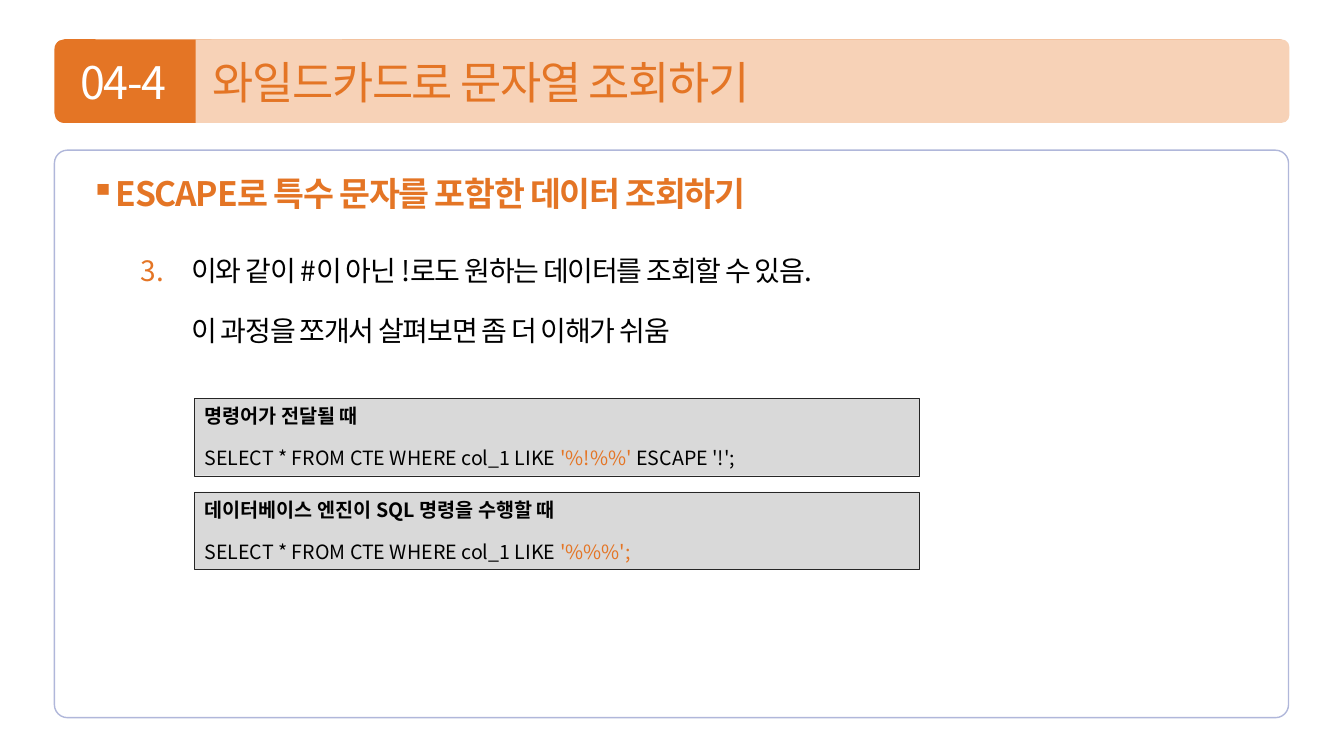
"""Builds the slide on ESCAPE and wildcard searches in SQL."""
from pptx import Presentation
from pptx.dml.color import RGBColor
from pptx.enum.shapes import MSO_SHAPE as Shape
from pptx.enum.text import MSO_ANCHOR as Anchor, PP_ALIGN as Align
from pptx.oxml.ns import qn
from pptx.util import Inches, Pt

ORANGE = RGBColor(0xE4, 0x75, 0x25)
PEACH = RGBColor(0xF7, 0xD2, 0xB7)
LAVENDER = RGBColor(0xB0, 0xB7, 0xDA)
GREY = RGBColor(0xD9, 0xD9, 0xD9)
CHARCOAL = RGBColor(0x26, 0x26, 0x26)
BLACK = RGBColor(0, 0, 0)
WHITE = RGBColor(0xFF, 0xFF, 0xFF)


class LessonSlide:
    """Holds the font and the slide, and adds its elements."""

    font = "Noto Sans CJK KR"

    def __init__(self, slide):
        self.slide = slide

    def panel(self, left, top, width, height, fill=None, line=None, weight=1, corner=None):
        kind = Shape.RECTANGLE if corner is None else Shape.ROUNDED_RECTANGLE
        panel = self.slide.shapes.add_shape(
            kind, Inches(left), Inches(top), Inches(width), Inches(height))
        panel.shadow.inherit = False
        if corner is not None:
            panel.adjustments[0] = corner
        if fill is None:
            panel.fill.background()
        else:
            panel.fill.solid()
            panel.fill.fore_color.rgb = fill
        if line is None:
            panel.line.fill.background()
        else:
            panel.line.color.rgb = line
            panel.line.width = Pt(weight)
        return panel

    def text_frame(self, left, top, width, height, anchor):
        frame = self.slide.shapes.add_textbox(
            Inches(left), Inches(top), Inches(width), Inches(height)).text_frame
        frame.word_wrap = True
        frame.vertical_anchor = anchor
        return frame

    def run(self, paragraph, text, size, color, bold=False, tracking=0):
        run = paragraph.add_run()
        run.text = text
        run.font.size = Pt(size)
        run.font.bold = bold
        run.font.color.rgb = color
        run.font.name = self.font
        properties = run.font._element
        properties.set("spc", str(round(tracking * 100)))
        properties.find(qn("a:latin")).addnext(
            properties.makeelement(qn("a:ea"), {"typeface": self.font}))

    def title(self, left, width, text, color):
        title = self.text_frame(left, 0.52, width, 0.61, Anchor.BOTTOM).paragraphs[0]
        title.line_spacing = 0.9
        self.run(title, text, 32, color, tracking=-1)

    def outline(self, paragraph, margin, hanging=0, marker=None, **marker_values):
        properties = paragraph._p.get_or_add_pPr()
        properties.set("marL", str(Inches(margin)))
        properties.set("indent", str(Inches(-hanging)))
        if marker:
            bullet_color = properties.makeelement(qn("a:buClr"), {})
            bullet_color.append(bullet_color.makeelement(qn("a:srgbClr"), {"val": str(ORANGE)}))
            properties.append(bullet_color)
            properties.append(properties.makeelement(qn(marker), marker_values))
        paragraph.line_spacing = 0.9

    def code_box(self, top, caption, code):
        frame = self.panel(1.93, top, 7.19, 0.77, GREY, CHARCOAL, 0.25).text_frame
        frame.word_wrap = True
        frame.vertical_anchor = Anchor.MIDDLE
        heading, command = frame.paragraphs[0], frame.add_paragraph()
        heading.alignment = command.alignment = Align.JUSTIFY
        command.space_before = Pt(13.3)
        self.run(heading, caption, 14, BLACK, bold=True)
        for text, color in code:
            self.run(command, text, 14, color)


def main():
    deck = Presentation()
    deck.slide_width, deck.slide_height = Inches(13.33), Inches(7.5)
    lesson = LessonSlide(deck.slides.add_slide(deck.slide_layouts[6]))

    lesson.panel(0.54, 1.49, 12.24, 5.63, line=LAVENDER, corner=0.023)
    lesson.panel(0.54, 0.39, 12.24, 0.83, ORANGE, corner=0.118)
    lesson.panel(2.03, 0.39, 10.76, 0.83, PEACH, corner=0.097)
    lesson.panel(1.94, 0.39, 1.45, 0.83, PEACH)
    lesson.title(0.7, 1.2, "04-4", WHITE)
    lesson.title(2.01, 10.2, "와일드카드로 문자열 조회하기", ORANGE)

    body = lesson.text_frame(0.8, 1.71, 11.73, 5.27, Anchor.TOP)
    topic, step, remark = body.paragraphs[0], body.add_paragraph(), body.add_paragraph()
    lesson.outline(topic, 0.25, 0.25, "a:buChar", char="▪")
    lesson.run(topic, "ESCAPE로 특수 문자를 포함한 데이터 조회하기", 24, ORANGE, True, -0.9)
    lesson.outline(step, 1, 0.5, "a:buAutoNum", type="arabicPeriod", startAt="3")
    step.space_before = Pt(31)
    lesson.run(step, "이와 같이 #이 아닌 !로도 원하는 데이터를 조회할 수 있음.", 20, BLACK, tracking=-0.9)
    lesson.outline(remark, 1)
    remark.space_before = Pt(21.7)
    lesson.run(remark, "이 과정을 쪼개서 살펴보면 좀 더 이해가 쉬움", 20, BLACK, tracking=-0.9)

    lesson.code_box(3.95, "명령어가 전달될 때", [
        ("SELECT * FROM CTE WHERE col_1 LIKE ", BLACK),
        ("'%!%%'", ORANGE),
        (" ESCAPE '!';", BLACK)])
    lesson.code_box(4.88, "데이터베이스 엔진이 SQL 명령을 수행할 때", [
        ("SELECT * FROM CTE WHERE col_1 LIKE", BLACK),
        (" '%%%';", ORANGE)])

    deck.save("out.pptx")


if __name__ == "__main__":
    main()
